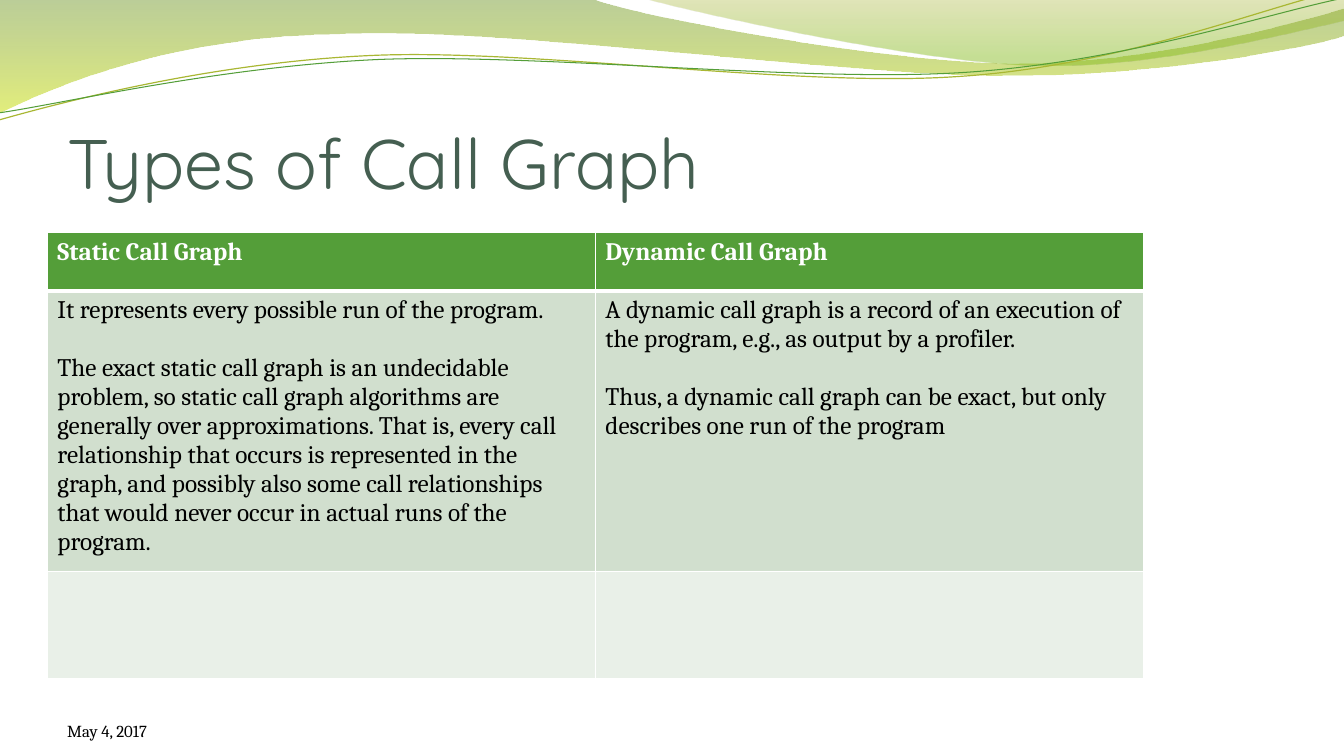
from lxml import etree
from pptx import Presentation
from pptx import util as u
from pptx.dml.color import RGBColor
from pptx.enum import text
from pptx.oxml.ns import qn

WIDTH, HEIGHT = 13.33, 7.5
BODY_FONT, TITLE_FONT = "Cambria", "Quicksand"
GREEN, WHITE, BLACK = "549E39", "FFFFFF", "000000"
BANDS = ["D1DFCE", "E9F0E8"]
BLANK_LINE = 20.6

LOWER_WAVE = [
    [(0, 0)],
    [(5.87, -0.01)],
    [(6.34, 0.17), (8.84, 0.63), (10.11, 0.63)],
    [(11.37, 0.63), (12.77, 0.26), (13.33, 0.09)],
    [(13.34, 0.36)],
    [(13.11, 0.44), (11.59, 0.76), (9.94, 0.75)],
    [(8.29, 0.75), (5.09, 0.28), (3.43, 0.34)],
    [(1.72, 0.36), (0.61, 0.83), (-0.02, 1.13)],
]
UPPER_WAVE = [
    [(6.38, -0.01)],
    [(6.79, 0.11), (9.09, 0.62), (10.25, 0.65)],
    [(11.4, 0.69), (12.82, 0.32), (13.33, 0.21)],
    [(13.33, 0)],
]
OLIVE_LINE = [
    [(-0.01, 1.19)],
    [(0.63, 1.01), (2.1, 0.62), (3.69, 0.55)],
    [(5.27, 0.48), (7.89, 0.87), (9.49, 0.76)],
    [(11.1, 0.66), (12.51, 0.08), (13.3, -0.1)],
]
GREEN_LINE = [
    [(-0.01, 1.12)],
    [(0.62, 1.03), (2.18, 0.66), (3.77, 0.59)],
    [(5.37, 0.53), (7.96, 0.82), (9.55, 0.72)],
    [(11.14, 0.62), (12.55, 0.14), (13.33, -0.02)],
]
HEADINGS = ["Static Call Graph", "Dynamic Call Graph"]
DESCRIPTIONS = [
    ["It represents every possible run of the program.",
     "The exact static call graph is an undecidable problem, so static call graph "
     "algorithms are generally over approximations. That is, every call relationship "
     "that occurs is represented in the graph, and possibly also some call "
     "relationships that would never occur in actual runs of the program."],
    ["A dynamic call graph is a record of an execution of the program, e.g., as "
     "output by a profiler.",
     "Thus, a dynamic call graph can be exact, but only describes one run of the program"],
]


def color(value):
    return RGBColor.from_string(value)


def bend(outline, segments):
    lines = iter(list(outline.element.spPr.iter(qn("a:lnTo"))))
    for segment in segments:
        first, *others = [next(lines) for point in segment]
        if others:
            first.tag = qn("a:cubicBezTo")
            for line in others:
                first.append(line[0])
                line.getparent().remove(line)


def add_outline(page, segments, closed):
    places = [(u.Inches(x), u.Inches(y)) for segment in segments for x, y in segment]
    builder = page.shapes.build_freeform(*places[0], scale=1.0)
    builder.add_line_segments(places[1:], close=closed)
    outline = builder.convert_to_shape()
    outline.shadow.inherit = False
    bend_parts = segments[1:]
    bend(outline, bend_parts)
    return outline


def add_wave(page, segments, stops):
    wave = add_outline(page, segments, True)
    wave.line.fill.background()
    wave.fill.gradient()
    wave.fill.gradient_angle = 270
    for stop, (position, value, opacity) in zip(wave.fill.gradient_stops, stops):
        stop.position = position
        stop.color.rgb = color(value)
    tints = wave.element.spPr.iter(qn("a:srgbClr"))
    for tint, (position, value, opacity) in zip(tints, stops):
        etree.SubElement(tint, qn("a:alpha"), val=str(opacity * 1000))


def add_ribbon(page, segments, value, width):
    ribbon = add_outline(page, segments, False)
    ribbon.fill.background()
    ribbon.line.color.rgb = color(value)
    ribbon.line.width = u.Pt(width)


def add_header_art(page):
    add_wave(page, LOWER_WAVE, [(0, "69921C", 45), (1, "CCE10F", 55)])
    add_wave(page, UPPER_WAVE, [(0, "9BAA1A", 30), (0.8, "81BA16", 45)])
    add_ribbon(page, OLIVE_LINE, "A9B733", 0.85)
    add_ribbon(page, GREEN_LINE, GREEN, 0.75)


def add_span(para, words, font, size, value, bold=False):
    span = para.add_run()
    span.text = words
    span.font.name = font
    span.font.size = u.Pt(size)
    span.font.bold = bold
    span.font.color.rgb = color(value)


def add_label(page, box, words, font, size, value):
    frame = page.shapes.add_textbox(*map(u.Inches, box)).text_frame
    frame.word_wrap = True
    frame.vertical_anchor = text.MSO_ANCHOR.BOTTOM
    frame.margin_left = frame.margin_top = frame.margin_right = frame.margin_bottom = 0
    add_span(frame.paragraphs[0], words, font, size, value)


def add_borders(cell, **widths):
    properties = cell._tc.get_or_add_tcPr()
    for index, side in enumerate("LRTB"):
        width = widths.get(side, 1)
        border = etree.Element(qn("a:ln" + side), w=str(u.Pt(width)))
        fill = etree.SubElement(border, qn("a:solidFill"))
        etree.SubElement(fill, qn("a:srgbClr"), val=WHITE)
        properties.insert(index, border)


def fill_cell(cell, paragraphs, back, value, bold=False, **borders):
    cell.fill.solid()
    cell.fill.fore_color.rgb = color(back)
    add_borders(cell, **borders)
    frame = cell.text_frame
    for index, words in enumerate(paragraphs):
        para = frame.add_paragraph() if index else frame.paragraphs[0]
        if index:
            para.space_before = u.Pt(BLANK_LINE)
        add_span(para, words, BODY_FONT, 18, value, bold)


def add_comparison(page, box):
    left, top, width, height = box
    row_shares = [0.13, 0.63, 0.24]
    table = page.shapes.add_table(3, 2, *map(u.Inches, box)).table
    for column in table.columns:
        column.width = u.Inches(width / 2)
    for row, share in zip(table.rows, row_shares):
        row.height = u.Inches(height * share)
    for column, heading in enumerate(HEADINGS):
        fill_cell(table.cell(0, column), [heading], GREEN, WHITE, True, B=3)
        fill_cell(table.cell(1, column), DESCRIPTIONS[column], BANDS[0], BLACK)
        fill_cell(table.cell(2, column), [], BANDS[1], BLACK)


def main():
    deck = Presentation()
    deck.slide_width, deck.slide_height = u.Inches(WIDTH), u.Inches(HEIGHT)
    page = deck.slides.add_slide(deck.slide_layouts[6])
    margin = WIDTH * 0.05
    add_header_art(page)
    add_label(page, (margin, 6.95, 3.11, 0.4), "May 4, 2017", BODY_FONT, 12, BLACK)
    add_comparison(page, (0.47, 2.31, 10.87, 4.42))
    add_label(page, (margin, 0.77, WIDTH * 0.9, 1.25), "Types of Call Graph",
              TITLE_FONT, 50, "455F51")
    deck.save("out.pptx")


if __name__ == "__main__":
    main()
